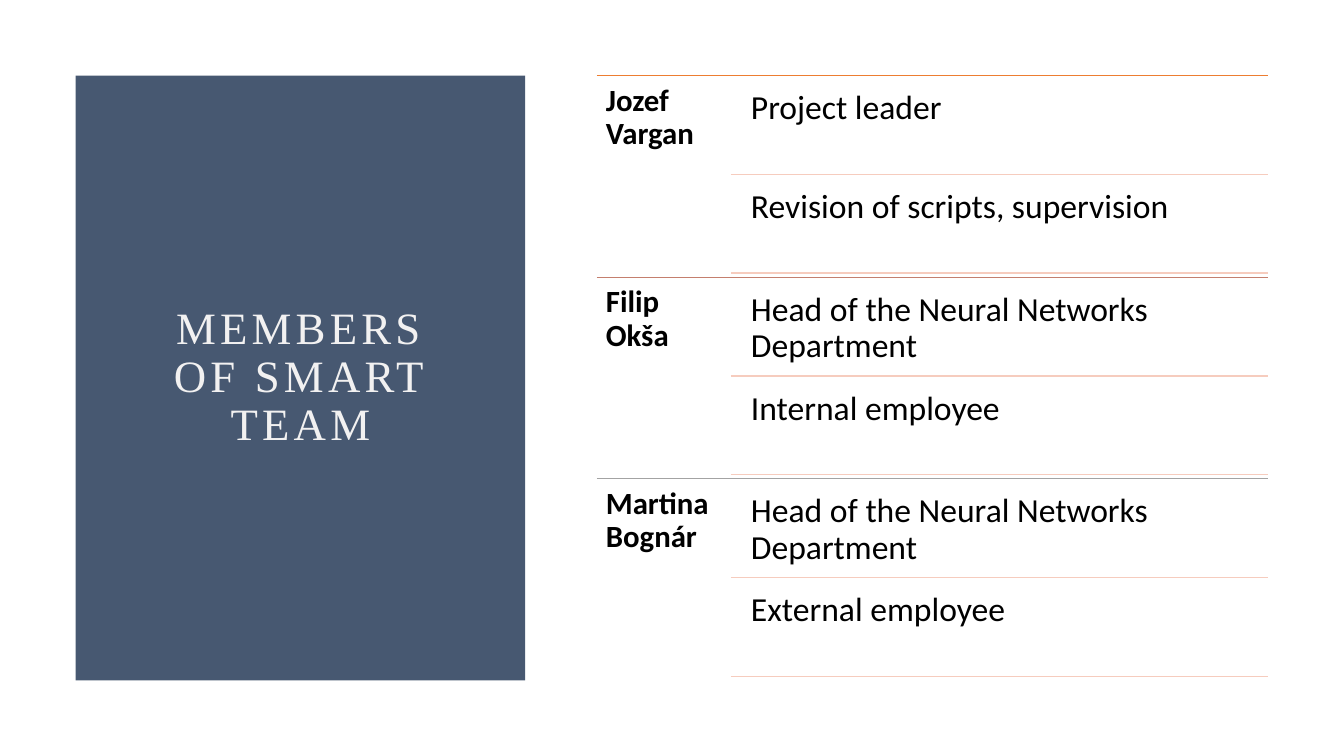
"""Build the slide that lists the team members and their roles."""
from dataclasses import dataclass

from lxml import etree
from pptx import Presentation
from pptx.dml.color import RGBColor
from pptx.enum.shapes import MSO_CONNECTOR, MSO_SHAPE
from pptx.enum.text import MSO_ANCHOR, MSO_AUTO_SIZE, PP_ALIGN
from pptx.oxml.ns import qn
from pptx.util import Inches, Pt

RECT = MSO_SHAPE.RECTANGLE
STRAIGHT = MSO_CONNECTOR.STRAIGHT
TOP, MIDDLE = MSO_ANCHOR.TOP, MSO_ANCHOR.MIDDLE
LEFT, CENTER = PP_ALIGN.LEFT, PP_ALIGN.CENTER
NO_FIT = MSO_AUTO_SIZE.NONE
TITLE_ONLY = 5


@dataclass(frozen=True)
class Theme:
    """Colours, fonts and type sizes."""
    panel: str = "475871"
    title: str = "F2F1F1"
    text: str = "000000"
    role_line: str = "F6CCBE"
    member_lines: tuple = ("ED7D31", "C47F6E", "A3A3A3")
    title_font: str = "Times New Roman"
    body_font: str = "Calibri"
    title_size: int = 32
    name_size: int = 22
    role_size: int = 24
    tracking: int = 3
    line_width: int = 1


class SlideBuilder:
    """Hold the theme and the current slide, and add elements to it."""

    def __init__(self, s, theme):
        self.s = s
        self.theme = theme

    def set_text(self, sp, text, *, font, size, color, bold=False, align=LEFT,
                 anchor=TOP, inset=0.1, after=0, tracking=0):
        """Set one formatted paragraph in a shape."""
        tf = sp.text_frame
        tf.word_wrap = True
        tf.auto_size = NO_FIT
        tf.vertical_anchor = anchor
        tf.margin_left = tf.margin_right = Inches(inset)
        tf.margin_top = tf.margin_bottom = Inches(inset)
        p = tf.paragraphs[0]
        p.alignment = align
        p.line_spacing = 0.9
        p.space_after = Pt(after)
        r = p.add_run()
        r.text = text
        r.font.name = font
        r.font.size = Pt(size)
        r.font.bold = bold
        r.font.color.rgb = RGBColor.from_string(color)
        if tracking:
            r.font._element.set("spc", str(tracking * 100))

    def title(self, text, x, y, w, h, **fmt):
        """Place and format the title placeholder."""
        sp = self.s.shapes.title
        sp.left, sp.top, sp.width, sp.height = map(Inches, (x, y, w, h))
        self.set_text(sp, text, **fmt)

    def panel(self, x, y, w, h, color):
        """Add a filled rectangle behind the title."""
        sp = self.s.shapes.add_shape(RECT, *map(Inches, (x, y, w, h)))
        sp.shadow.inherit = False
        sp.fill.solid()
        sp.fill.fore_color.rgb = RGBColor.from_string(color)
        sp.line.fill.background()
        self.s.shapes.title._element.addprevious(sp._element)

    def text(self, text, x, y, w, h, **fmt):
        """Add a text box."""
        sp = self.s.shapes.add_textbox(*map(Inches, (x, y, w, h)))
        self.set_text(sp, text, **fmt)

    def rule(self, x1, x2, y, color):
        """Add a horizontal line."""
        sp = self.s.shapes.add_connector(STRAIGHT, *map(Inches, (x1, y, x2, y)))
        sp.line.color.rgb = RGBColor.from_string(color)
        sp.line.width = Pt(self.theme.line_width)
        etree.SubElement(sp._element.spPr, qn("a:effectLst"))


MEMBERS = (
    ("Jozef Vargan", ("Project leader", "Revision of scripts, supervision")),
    ("Filip Okša", ("Head of the Neural Networks Department", "Internal employee")),
    ("Martina Bognár", ("Head of the Neural Networks Department", "External employee")),
)


def main():
    """Build and save the slide."""
    prs = Presentation()
    prs.slide_width, prs.slide_height = Inches(13.33), Inches(7.5)
    theme = Theme()
    b = SlideBuilder(prs.slides.add_slide(prs.slide_layouts[TITLE_ONLY]), theme)

    top, member_h = 0.75, 2
    role_h, gap = 0.93, 0.05
    name_x, line_x, role_x, right = 5.92, 7.25, 7.35, 12.58

    b.panel(0.75, top, 4.46, 6, theme.panel)
    b.title("MEMBERS OF SMART TEAM", 1.5, 1.5, 2.96, 4.5, font=theme.title_font,
            size=theme.title_size, color=theme.title, align=CENTER,
            anchor=MIDDLE, tracking=theme.tracking)

    for i, (name, roles) in enumerate(MEMBERS):
        y = top + i * member_h
        b.rule(name_x, right, y, theme.member_lines[i])
        b.text(name, name_x, y, line_x - name_x, member_h, font=theme.body_font,
               size=theme.name_size, color=theme.text, bold=True, inset=0.09,
               after=0.35 * theme.name_size)
        for j, role in enumerate(roles):
            role_y = y + gap + j * (role_h + gap)
            b.text(role, role_x, role_y, right - role_x, role_h,
                   font=theme.body_font, size=theme.role_size, color=theme.text,
                   after=0.35 * theme.role_size)
            b.rule(line_x, right, role_y + role_h, theme.role_line)

    prs.save("out.pptx")


main()
